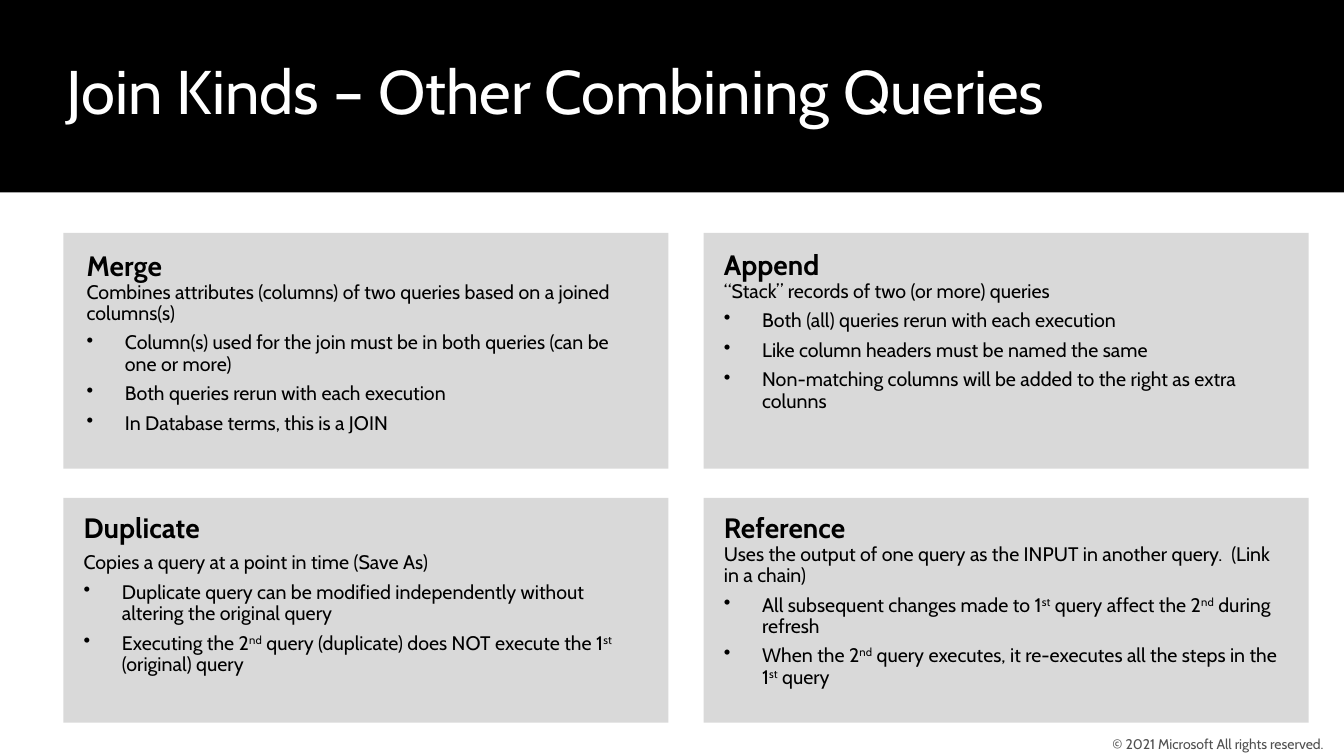
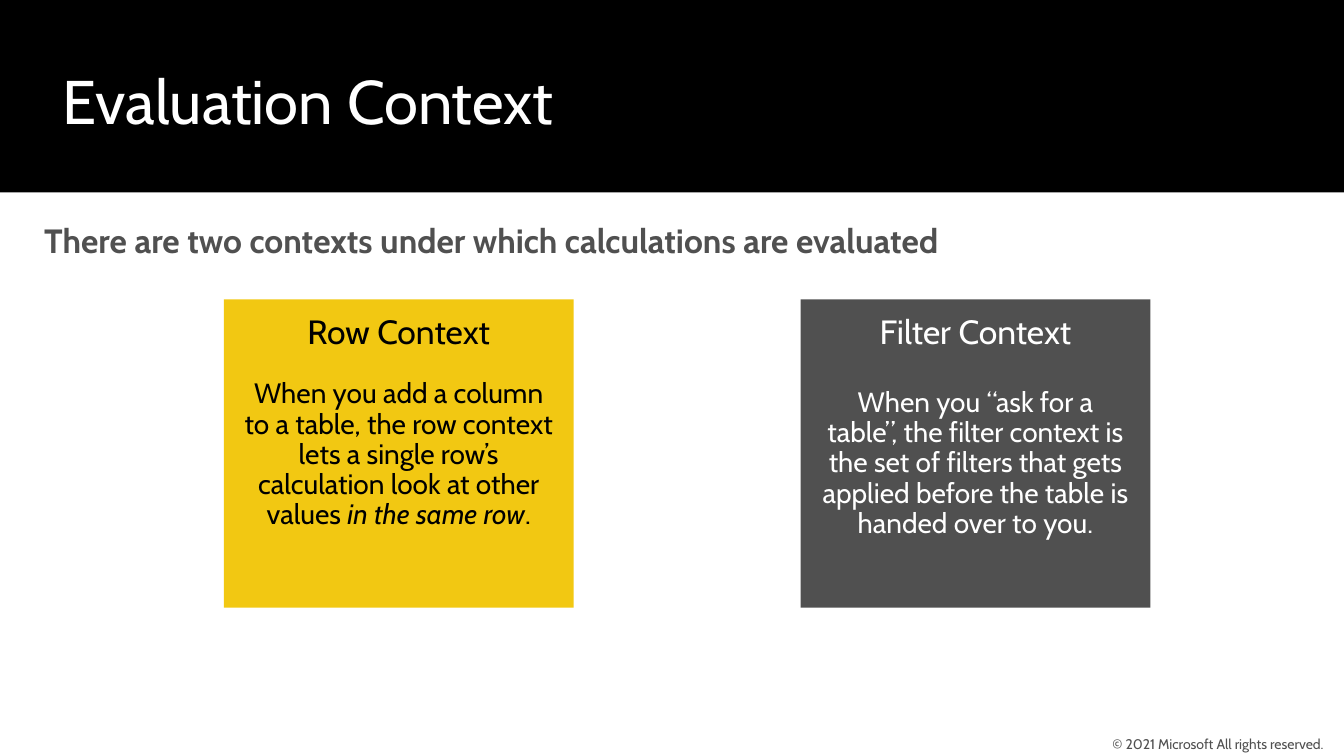
from lxml import etree
from pptx import Presentation
from pptx.dml.color import RGBColor
from pptx.enum.shapes import MSO_SHAPE
from pptx.enum.text import MSO_ANCHOR, MSO_AUTO_SIZE, PP_ALIGN
from pptx.oxml.ns import qn
from pptx.util import Inches, Pt

FONT = "Cabin"
BLACK, WHITE = "000000", "FFFFFF"
DARK, LIGHT, YELLOW = "505050", "D9D9D9", "F2C812"
WIDTH, HEIGHT = 13.33, 7.5
COPYRIGHT = "© 2021 Microsoft All rights reserved."
SUPER, ITALIC = "super", "italic"
ST, ND = ("st", SUPER), ("nd", SUPER)
BREAK = "\n"


def rgb(value):
    return RGBColor.from_string(value)


class Deck:
    def __init__(self):
        self.prs = Presentation()
        self.prs.slide_width = Inches(WIDTH)
        self.prs.slide_height = Inches(HEIGHT)
        self.s = None

    def add_slide(self, title, left, top):
        self.s = self.prs.slides.add_slide(self.prs.slide_layouts[5])
        band = self.rect(0, 0, WIDTH, 1.91, BLACK)
        self.s.shapes._spTree.insert(2, band._element)
        sp = self.s.shapes.title
        sp.left, sp.top = Inches(left), Inches(top)
        sp.width, sp.height = Inches(12.29), Inches(0.84)
        tf = self.frame(sp, 0.16, 0.1)
        self.para(tf, [title], 44, WHITE)
        tf = self.text(10.83, 7.26, 2.5, 0.24, 0, 0)
        tf.vertical_anchor = MSO_ANCHOR.MIDDLE
        self.para(tf, [COPYRIGHT], 10, DARK, align=PP_ALIGN.CENTER)

    def frame(self, sp, inset_x, inset_y):
        tf = sp.text_frame
        tf.auto_size = MSO_AUTO_SIZE.NONE
        tf.word_wrap = True
        tf.vertical_anchor = MSO_ANCHOR.TOP
        tf.margin_left = tf.margin_right = Inches(inset_x)
        tf.margin_top = tf.margin_bottom = Inches(inset_y)
        return tf

    def rect(self, left, top, width, height, fill):
        sp = self.s.shapes.add_shape(MSO_SHAPE.RECTANGLE, Inches(left), Inches(top),
                                     Inches(width), Inches(height))
        sp.shadow.inherit = False
        sp.fill.solid()
        sp.fill.fore_color.rgb = rgb(fill)
        sp.line.fill.background()
        return sp

    def text(self, left, top, width, height, inset_x=0.1, inset_y=0.05):
        sp = self.s.shapes.add_textbox(Inches(left), Inches(top),
                                       Inches(width), Inches(height))
        return self.frame(sp, inset_x, inset_y)

    def para(self, tf, runs, size, color, bold=False, align=PP_ALIGN.LEFT,
             spacing=None, before=0, after=0, bullet=False):
        """Fill the first paragraph, or append one; a run is text or (text, style)."""
        p = tf.paragraphs[0]
        if p.runs:
            p = tf.add_paragraph()
        p.alignment = align
        p.line_spacing = spacing
        p.space_before, p.space_after = Pt(before), Pt(after)
        if bullet:
            pPr = p._p.get_or_add_pPr()
            pPr.set("marL", str(Inches(0.38)))
            pPr.set("indent", str(-Inches(0.38)))
            etree.SubElement(pPr, qn("a:buChar")).set("char", "•")
        self.add_runs(p, runs, size, color, bold)
        return p

    def add_runs(self, p, runs, size, color, bold=False):
        for run in runs:
            if run == BREAK:
                p.add_line_break()
                continue
            text, style = (run, None) if isinstance(run, str) else run
            r = p.add_run()
            r.text = text
            r.font.name, r.font.size = FONT, Pt(size)
            r.font.bold, r.font.italic = bold, style == ITALIC
            r.font.color.rgb = rgb(color)
            if style == SUPER:
                r.font._element.set("baseline", "30000")

    def card(self, left, top, height, heading, summary, bullets,
             inset_x=0.2, inset_y=0.16, joined=True):
        """Grey card; a joined summary follows its heading in the same paragraph."""
        tf = self.frame(self.rect(left, top, 6, height, LIGHT), inset_x, inset_y)
        p = self.para(tf, [heading], 20, BLACK, bold=True, spacing=0.9, after=6)
        if joined:
            self.add_runs(p, [BREAK, summary], 14, BLACK)
        else:
            self.para(tf, [summary], 14, BLACK, spacing=0.9, after=6)
        for runs in bullets:
            self.para(tf, runs, 14, BLACK, spacing=0.9, after=6, bullet=True)

    def context_box(self, left, fill, color, heading, gap, runs):
        tf = self.frame(self.rect(left, 2.97, 3.47, 3.06, fill), 0.2, 0.16)
        centred = {"align": PP_ALIGN.CENTER, "spacing": 0.9}
        self.para(tf, [heading], 24, color, **centred)
        self.para(tf, runs, 20, color, before=gap, **centred)


def join_kinds(deck):
    deck.add_slide("Join Kinds – Other Combining Queries", 0.5, 0.42)
    left, right = 0.63, 6.98
    upper, lower = (2.31, 2.34), (4.94, 2.23)
    deck.card(left, *upper, "Merge",
              "Combines attributes (columns) of two queries based on a joined columns(s)",
              [["Column(s) used for the join must be in both queries (can be one or more)"],
               ["Both queries rerun with each execution"],
               ["In Database terms, this is a JOIN"]],
              inset_x=0.23, inset_y=0.19)
    deck.card(right, *upper, "Append",
              "“Stack” records of two (or more) queries",
              [["Both (all) queries rerun with each execution"],
               ["Like column headers must be named the same"],
               ["Non-matching columns will be added to the right as extra colunns"]],
              inset_y=0.18)
    deck.card(left, *lower, "Duplicate",
              "Copies a query at a point in time (Save As)",
              [["Duplicate query can be modified independently without "
                "altering the original query"],
               ["Executing the 2", ND, " query (duplicate) does NOT execute the 1", ST,
                " (original) query"]],
              joined=False)
    deck.card(right, *lower, "Reference",
              "Uses the output of one query as the INPUT in another query.  (Link in a chain)",
              [["All subsequent changes made to 1", ST, " query affect the 2", ND,
                " during refresh"],
               ["When the 2", ND, " query executes, it re-executes all the steps in the 1",
                ST, " query"]])


def evaluation_context(deck):
    deck.add_slide("Evaluation Context", 0.46, 0.52)
    tf = deck.text(0.34, 2.18, 10.05, 0.46)
    tf.word_wrap = False
    deck.para(tf, ["There are two contexts under which calculations are evaluated"],
              24, DARK, bold=True, spacing=0.9)
    deck.context_box(2.22, YELLOW, BLACK, "Row Context", 20,
                     ["When you add a column to a table, the row context lets a "
                      "single row’s calculation look at other values ",
                      ("in the same row", ITALIC), "."])
    deck.context_box(7.94, DARK, WHITE, "Filter Context", 26,
                     ["When you “ask for a table”, the filter context is the set of "
                      "filters that gets applied before the table is handed over to you."])


def main():
    deck = Deck()
    join_kinds(deck)
    evaluation_context(deck)
    deck.prs.save("out.pptx")


if __name__ == "__main__":
    main()
